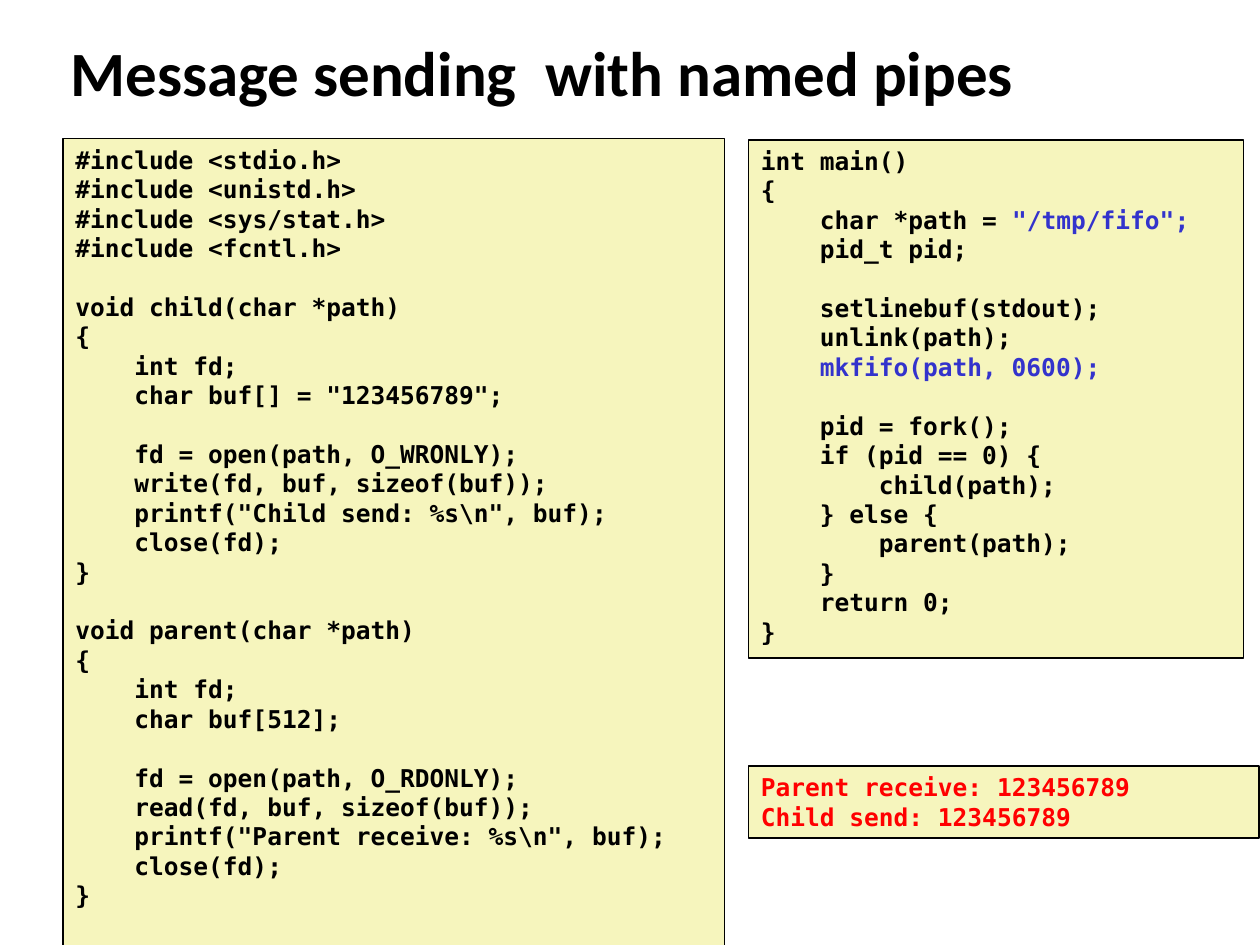
from dataclasses import dataclass

from pptx import Presentation
from pptx.dml.color import RGBColor
from pptx.enum.shapes import MSO_SHAPE
from pptx.enum.text import MSO_ANCHOR, MSO_AUTO_SIZE, PP_ALIGN
from pptx.util import Pt


@dataclass(frozen=True)
class Theme:
    black: str = "000000"
    blue: str = "3333CC"
    red: str = "FF0000"
    cream: str = "F6F5BD"
    head: str = "Calibri"
    mono: str = "DejaVu Sans Mono"
    big: float = 36
    small: float = 14
    pitch: float = 16.8  # height of one code line
    char: float = 8.43  # width of one code letter


THEME = Theme()

PIPES = r'''#include <stdio.h>
#include <unistd.h>
#include <sys/stat.h>
#include <fcntl.h>

void child(char *path)
{
    int fd;
    char buf[] = "123456789";

    fd = open(path, O_WRONLY);
    write(fd, buf, sizeof(buf));
    printf("Child send: %s\n", buf);
    close(fd);
}

void parent(char *path)
{
    int fd;
    char buf[512];

    fd = open(path, O_RDONLY);
    read(fd, buf, sizeof(buf));
    printf("Parent receive: %s\n", buf);
    close(fd);
}'''

# A bar starts the blue part of a line.
MAIN = '''int main()
{
    char *path = |"/tmp/fifo";
    pid_t pid;

    setlinebuf(stdout);
    unlink(path);
    |mkfifo(path, 0600);

    pid = fork();
    if (pid == 0) {
        child(path);
    } else {
        parent(path);
    }
    return 0;
}'''

OUTPUT = '''Parent receive: 123456789
Child send: 123456789'''


def add_run(para, text, face, size, color):
    run = para.add_run()
    run.text = text
    font = run.font
    font.name, font.size, font.bold = face, Pt(size), True
    font.color.rgb = RGBColor.from_string(color)


def set_indent(para, left, first=0):
    props = para._p.get_or_add_pPr()
    props.set("marL", str(Pt(left)))
    props.set("indent", str(Pt(first)))


def add_title(slide, box, text):
    title = slide.shapes.title
    title.left, title.top, title.width, title.height = map(Pt, box)
    frame = title.text_frame
    frame.auto_size = MSO_AUTO_SIZE.NONE
    frame.vertical_anchor = MSO_ANCHOR.MIDDLE
    para = frame.paragraphs[0]
    para.alignment = PP_ALIGN.LEFT
    set_indent(para, 9.4, -9.4)
    add_run(para, text, THEME.head, THEME.big, THEME.black)


def add_code(slide, box, code, color=THEME.black):
    """Panel of code; blank lines become spacing, leading spaces indents."""
    panel = slide.shapes.add_shape(MSO_SHAPE.RECTANGLE, *map(Pt, box))
    panel.shadow.inherit = False
    panel.fill.solid()
    panel.fill.fore_color.rgb = RGBColor.from_string(THEME.cream)
    panel.line.color.rgb = RGBColor.from_string(THEME.black)
    panel.line.width = Pt(1)
    frame = panel.text_frame
    frame.word_wrap = True
    frame.vertical_anchor = MSO_ANCHOR.TOP

    para, gap = frame.paragraphs[0], 0
    for line in code.split("\n"):
        text = line.lstrip()
        if not text:
            gap += THEME.pitch
            continue
        if para.runs:
            para = frame.add_paragraph()
        para.alignment = PP_ALIGN.LEFT
        para.space_before = Pt(gap)
        gap = 0
        set_indent(para, (len(line) - len(text)) * THEME.char)
        for part, tint in zip(text.split("|"), (color, THEME.blue)):
            if part:
                add_run(para, part, THEME.mono, THEME.small, tint)


def main():
    deck = Presentation()
    deck.slide_width, deck.slide_height = Pt(720), Pt(540)
    slide = deck.slides.add_slide(deck.slide_layouts[5])
    add_title(slide, (33, 18, 648, 45), "Message sending  with named pipes")
    add_code(slide, (36, 79.2, 378, 465), PIPES)
    add_code(slide, (427.7, 79.9, 283, 296), MAIN)
    add_code(slide, (427.7, 437.8, 291.6, 41), OUTPUT, THEME.red)
    deck.save("out.pptx")


if __name__ == "__main__":
    main()
